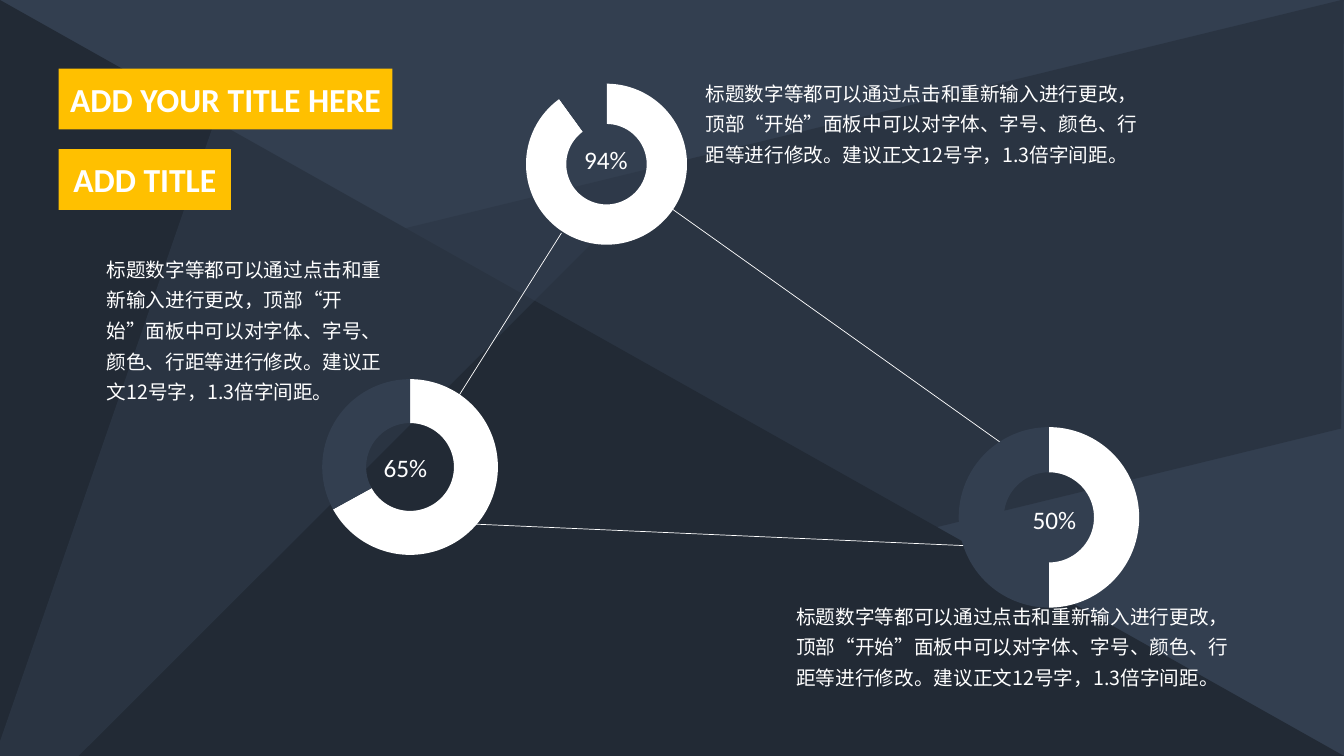
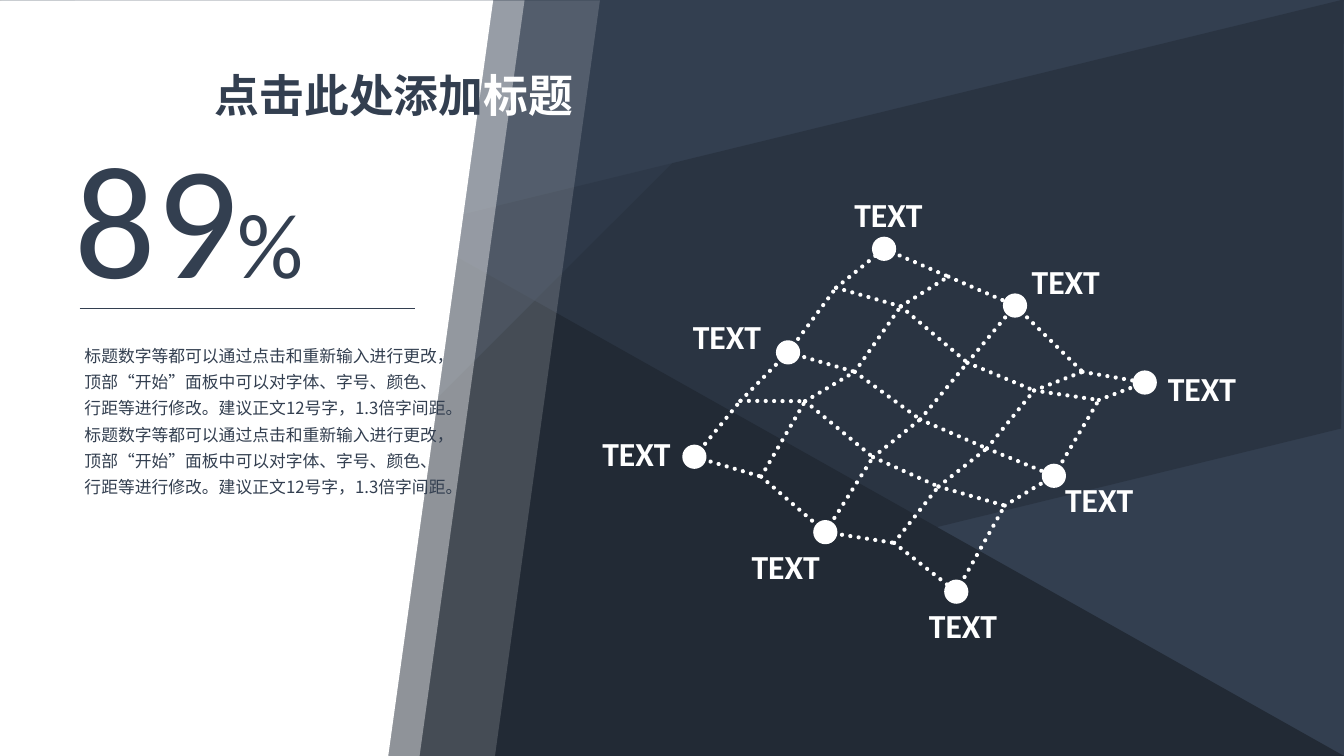
from itertools import chain, pairwise

from lxml.etree import SubElement
from pptx import Presentation
from pptx.chart.data import CategoryChartData
from pptx.dml.color import RGBColor
from pptx.enum.chart import XL_CHART_TYPE
from pptx.enum.dml import MSO_LINE
from pptx.enum.shapes import MSO_CONNECTOR, MSO_SHAPE
from pptx.enum.text import MSO_ANCHOR, MSO_AUTO_SIZE, PP_ALIGN
from pptx.oxml import parse_xml
from pptx.oxml.ns import nsdecls, qn
from pptx.util import Cm, Pt

WHITE, SLATE, NIGHT, AMBER = "FFFFFF", "333F50", "222A35", "FFC000"
LATIN, CHINESE = "Calibri", "Noto Sans CJK SC"
GUIDANCE = (
    "标题数字等都可以通过点击和重新输入进行更改，顶部“开始”面板中可以对字体、"
    "字号、颜色、行距等进行修改。建议正文12号字，1.3倍字间距。"
)
RING_WIDTH, RING_HEIGHT = 7.87, 5.26

RINGS = [
    {"frame": (6.4, 9.22), "share": 67, "label": "65%", "centre": (10.22, 11.78),
     "diameter": 4.43, "shift": -0.08},
    {"frame": (22.5, 10.41), "share": 50, "label": "50%", "centre": (26.57, 13.08),
     "diameter": 4.55, "shift": 0},
    {"frame": (11.35, 1.75), "share": 90, "label": "94%", "centre": (15.27, 4.03),
     "diameter": 4.06, "shift": -0.24},
]

MESH = [
    [(17.5, 11.51), (19.18, 12.01), (20.8, 13.41), (22.53, 13.68), (24.1, 14.91)],
    [(18.66, 10.1), (20.29, 10.11), (22, 11.52), (23.65, 12.26), (25.32, 12.74)],
    [(19.86, 8.88), (21.54, 9.37), (23.19, 10.57), (24.87, 11.3), (26.56, 11.99)],
    [(21.07, 7.25), (22.7, 7.72), (24.38, 9.14), (26.06, 9.84), (27.69, 10.08)],
    [(22.28, 6.27), (23.9, 6.97), (25.58, 7.7), (27.28, 9.37), (28.85, 9.64)],
]
LABEL_OFFSETS = {
    (0, 0): (-1.46, -0.1), (0, 2): (-1, 0.84), (0, 4): (0.17, 0.84),
    (2, 0): (-1.54, -0.42), (2, 4): (1.14, 0.58),
    (4, 0): (0.11, -0.89), (4, 2): (1.28, -0.61), (4, 4): (1.44, 0.14),
}


def rgb(colour):
    return RGBColor.from_string(colour)


def cm(*lengths):
    return [Cm(length) for length in lengths]


def around(x, y, width, height):
    return x - width / 2, y - height / 2, width, height


def paint(shape, colour, opacity=100):
    shape.fill.solid()
    shape.fill.fore_color.rgb = rgb(colour)
    if opacity < 100:
        tint = shape.element.spPr.find(".//" + qn("a:srgbClr"))
        SubElement(tint, qn("a:alpha"), val=str(opacity * 1000))


def add_block(slide, preset, box, colour, opacity=100, rotation=0):
    block = slide.shapes.add_shape(preset, *cm(*box))
    block.shadow.inherit = False
    block.line.fill.background()
    block.rotation = rotation
    paint(block, colour, opacity)
    return block


def add_line(slide, start, end, colour, weight, dotted=False):
    line = slide.shapes.add_connector(MSO_CONNECTOR.STRAIGHT, *cm(*start, *end))
    line.line.color.rgb = rgb(colour)
    line.line.width = Pt(weight)
    if dotted:
        line.line.dash_style = MSO_LINE.ROUND_DOT
        line.element.spPr.find(qn("a:ln")).set("cap", "rnd")
    SubElement(line.element.spPr, qn("a:effectLst"))


def write(shape, runs, font=LATIN, bold=False, inset=(0.25, 0.13), align=PP_ALIGN.LEFT,
          anchor=MSO_ANCHOR.TOP, spacing=None, fit=MSO_AUTO_SIZE.NONE, wrap=True):
    frame = shape.text_frame
    frame.word_wrap = wrap
    frame.auto_size = fit
    frame.vertical_anchor = anchor
    frame.margin_left = frame.margin_right = Cm(inset[0])
    frame.margin_top = frame.margin_bottom = Cm(inset[1])
    paragraph = frame.paragraphs[0]
    paragraph.alignment = align
    if spacing:
        paragraph.line_spacing = spacing
    for text, size, colour in runs:
        run = paragraph.add_run()
        run.text = text
        run.font.size = Pt(size)
        run.font.bold = bold
        run.font.color.rgb = rgb(colour)
        run.font.name = font
        SubElement(run.font._element, qn("a:ea"), typeface=font)


def add_text(slide, box, runs, **style):
    write(slide.shapes.add_textbox(*cm(*box)), runs, **style)


def add_body(slide, box, text, size, colour, inset):
    add_text(slide, box, [(text, size, colour)], font=CHINESE, inset=inset,
             spacing=1.3, fit=MSO_AUTO_SIZE.SHAPE_TO_FIT_TEXT)


def place_title(slide, box):
    title = slide.shapes.title
    title.left, title.top, title.width, title.height = cm(*box)
    slide.shapes.element.append(title.element)
    return title


def write_banner(banner, text):
    paint(banner, AMBER)
    write(banner, [(text, 24, WHITE)], bold=True, inset=(0, 0),
          align=PP_ALIGN.CENTER, anchor=MSO_ANCHOR.MIDDLE)


def add_ring(slide, ring):
    data = CategoryChartData()
    data.categories = ["1", "2"]
    data.add_series("Series 1", (ring["share"], 100 - ring["share"]))
    chart = slide.shapes.add_chart(
        XL_CHART_TYPE.DOUGHNUT, *cm(*ring["frame"], RING_WIDTH, RING_HEIGHT), data
    ).chart
    chart.has_legend = False
    chart.has_title = False
    chart.font.name = LATIN
    chart.font.size = Pt(10)
    chart.font.color.rgb = rgb("000000")
    plot = chart.plots[0]
    plot.vary_by_categories = True
    for index, colour in enumerate((WHITE, SLATE)):
        point = plot.series[0].points[index]
        point.format.fill.solid()
        point.format.fill.fore_color.rgb = rgb(colour)
        point.format.line.fill.background()
    set_ring_layout(chart, ring["diameter"], ring["shift"])
    add_text(slide, around(*ring["centre"], 2.6, 1), [(ring["label"], 18, WHITE)],
             inset=(0, 0), align=PP_ALIGN.CENTER, anchor=MSO_ANCHOR.MIDDLE)


def set_ring_layout(chart, diameter, shift):
    plot_area = chart.element.find(".//" + qn("c:plotArea"))
    plot_area.find(".//" + qn("c:holeSize")).set("val", "75")
    for layout in plot_area.findall(qn("c:layout")):
        plot_area.remove(layout)
    width, height = diameter / RING_WIDTH, diameter / RING_HEIGHT
    left, top = (1 - width) / 2, (1 - height) / 2 + shift / RING_HEIGHT
    plot_area.insert(0, parse_xml(
        f'<c:layout {nsdecls("c")}><c:manualLayout><c:layoutTarget val="inner"/>'
        f'<c:xMode val="edge"/><c:yMode val="edge"/>'
        f'<c:x val="{left:.4f}"/><c:y val="{top:.4f}"/>'
        f'<c:w val="{width:.4f}"/><c:h val="{height:.4f}"/>'
        f'</c:manualLayout></c:layout>'
    ))


def set_backdrop(deck, slide):
    master = deck.slide_master
    master.background.fill.solid()
    master.background.fill.fore_color.rgb = rgb(SLATE)
    corner = add_block(slide, MSO_SHAPE.ISOSCELES_TRIANGLE, (0, 0, 33.87, 19.05), NIGHT)
    corner.adjustments[0] = 0
    band = add_block(slide, MSO_SHAPE.PARALLELOGRAM, (-1.8, 4.27, 37.44, 10.49),
                     NIGHT, 50, 346.3)
    shard = add_block(slide, MSO_SHAPE.ISOSCELES_TRIANGLE, (3, -2.95, 13.74, 28.24),
                      SLATE, 50, 199.1)
    shard.adjustments[0] = 1
    for position, facet in enumerate((corner, band, shard), start=2):
        master.shapes.element.insert(position, facet.element)


def build_rings(slide):
    for start, end in (
        ((11.35, 10.31), (14.15, 5.87)),
        ((16.79, 5.16), (25.68, 11.48)),
        ((11.35, 13.18), (24.79, 13.77)),
    ):
        add_line(slide, start, end, WHITE, 0.5)
    for ring in RINGS:
        add_ring(slide, ring)
    for box in ((17.6, 1.78, 11.56, 2.51), (19.89, 14.96, 11.56, 2.51),
                (2.51, 6.22, 7.42, 4.09)):
        add_body(slide, box, GUIDANCE, 14, WHITE, (0.18, 0.1))
    write_banner(place_title(slide, (1.48, 1.73, 8.41, 1.53)), "ADD YOUR TITLE HERE")
    subtitle = add_block(slide, MSO_SHAPE.RECTANGLE, (1.48, 3.76, 4.34, 1.53), AMBER)
    write_banner(subtitle, "ADD TITLE")


def add_mesh(slide):
    for strand in chain(MESH, zip(*MESH)):
        for start, end in pairwise(strand):
            add_line(slide, start, end, WHITE, 3, dotted=True)
    for (row, column), (dx, dy) in LABEL_OFFSETS.items():
        x, y = MESH[row][column]
        add_block(slide, MSO_SHAPE.OVAL, around(x, y, 0.61, 0.61), WHITE)
        add_text(slide, around(x + dx, y + dy, 2.26, 1.27), [("TEXT", 24, WHITE)],
                 bold=True, align=PP_ALIGN.CENTER, wrap=False,
                 fit=MSO_AUTO_SIZE.SHAPE_TO_FIT_TEXT)


def build_mesh(slide):
    for left, opacity in ((-1.02, 16), (-2.92, 40), (-3.71, 100)):
        panel = add_block(slide, MSO_SHAPE.FLOWCHART_MANUAL_INPUT,
                          (left, 2.92, 19.05, 13.23), WHITE, opacity, 90)
        panel.element.spPr.xfrm.set("flipH", "1")
    write(place_title(slide, (5.16, 1.57, 9.8, 1.63)),
          [("点击此处添加", 32, SLATE), ("标题", 32, WHITE)], font=CHINESE, bold=True)
    add_text(slide, (1.63, 2.82, 7, 5.18), [("89", 115, SLATE), ("%", 66, SLATE)])
    add_line(slide, (2.01, 7.77), (10.46, 7.77), SLATE, 1)
    add_body(slide, (1.88, 8.43, 9.7, 4.93), GUIDANCE * 2, 12, SLATE, (0.25, 0.13))
    add_mesh(slide)


def main():
    deck = Presentation()
    deck.slide_width, deck.slide_height = cm(33.87, 19.05)
    title_only = deck.slide_layouts[5]
    rings_slide = deck.slides.add_slide(title_only)
    set_backdrop(deck, rings_slide)
    build_rings(rings_slide)
    build_mesh(deck.slides.add_slide(title_only))
    deck.save("out.pptx")


if __name__ == "__main__":
    main()
